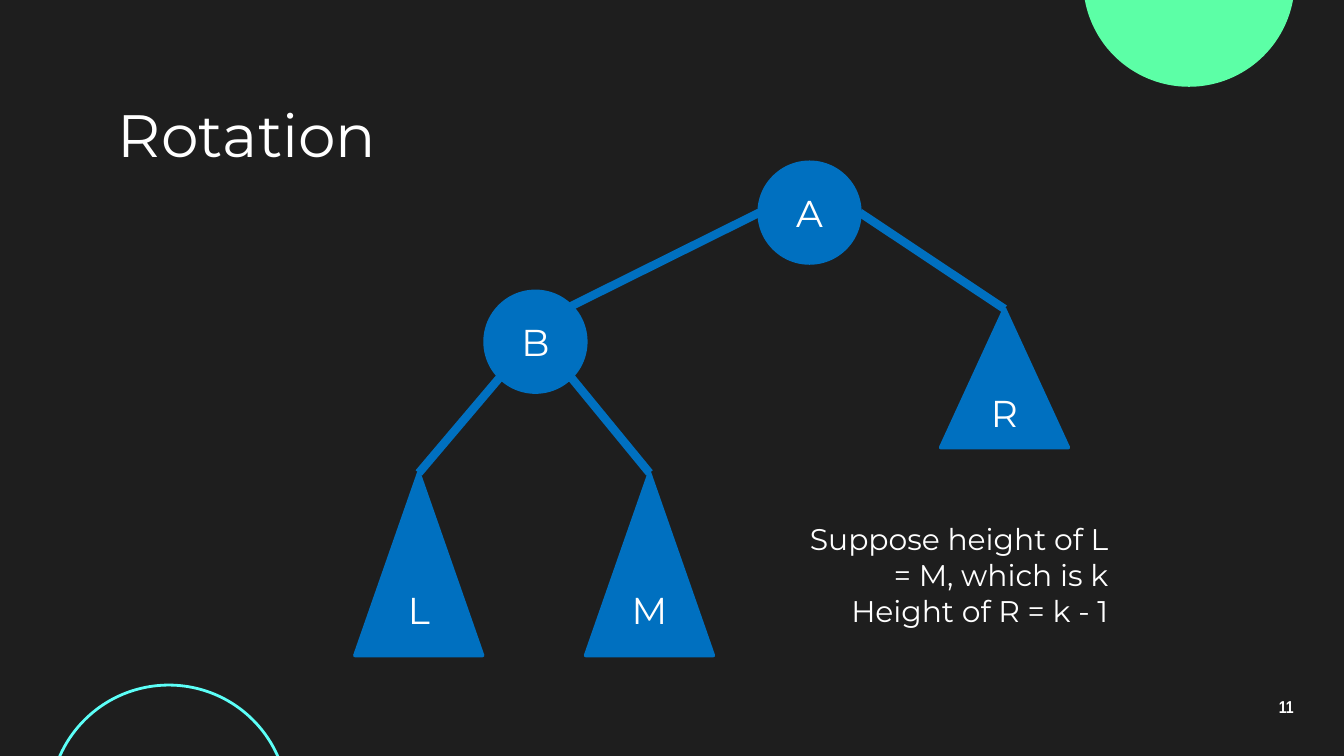
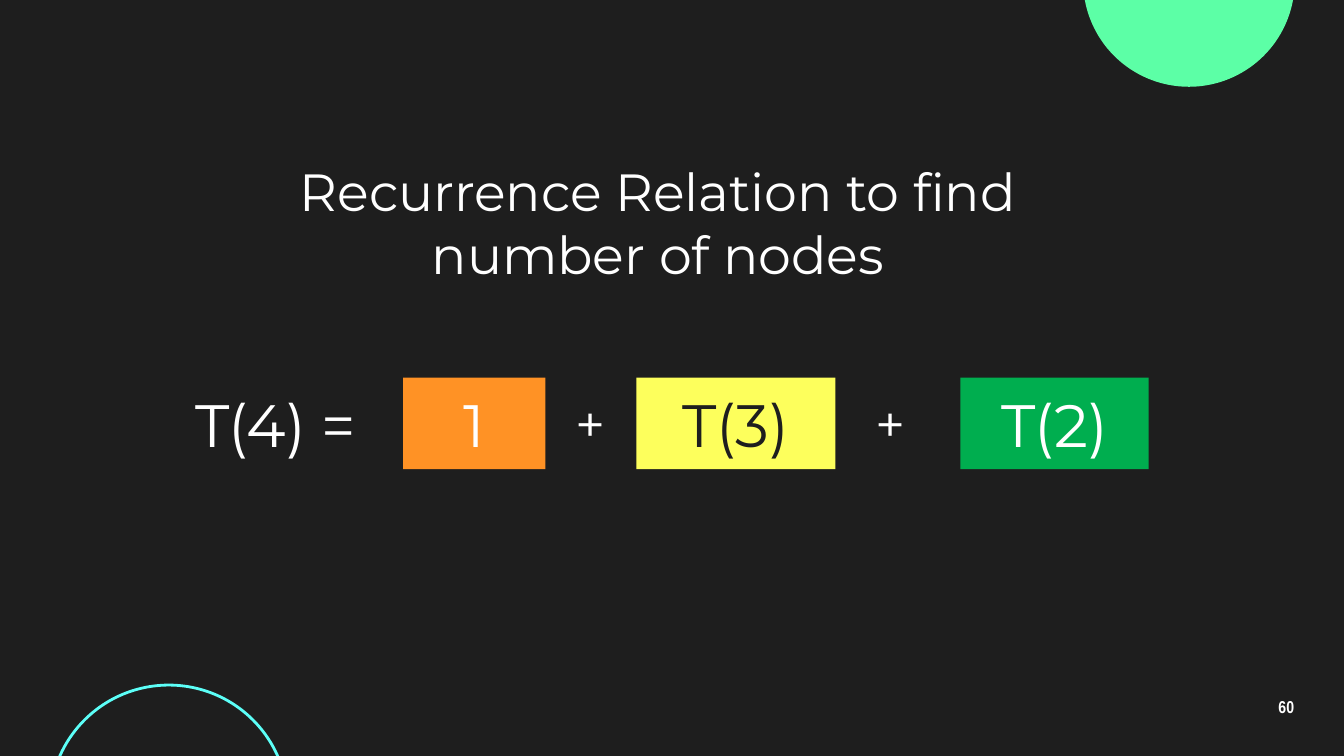
import math

import pptx
import pptx.dml.color
import pptx.enum.shapes
import pptx.enum.text
import pptx.util
from lxml import etree

Cm = pptx.util.Cm
Pt = pptx.util.Pt
SHAPE = pptx.enum.shapes.MSO_SHAPE
ANCHOR = pptx.enum.text.MSO_ANCHOR
ALIGN = pptx.enum.text.PP_ALIGN

DARK = "1E1E1E"
WHITE = "FFFFFF"
GREEN = "5CFFA6"
CYAN = "5CFFF8"
BLUE = "0070C0"
YELLOW = "FDFF5C"
LEAF = "00AE4F"
ORANGE = "FF9225"

BODY_FONT = "Montserrat"
NUMBER_FONT = "Arial Narrow"
INSET = 0.25
NODE_SIZE = 1.9
SUBTREE_WIDTH = 2.41


def color(value):
    return pptx.dml.color.RGBColor.from_string(value)


def write(frame, lines, size, ink=WHITE, align=ALIGN.CENTER, font=BODY_FONT, bold=False):
    """Put each line in its own paragraph, all in one style."""
    frame.word_wrap = True
    for index, line in enumerate(lines):
        para = frame.paragraphs[0] if index == 0 else frame.add_paragraph()
        para.text = line
        para.alignment = align
        para.font.name = font
        para.font.size = Pt(size)
        para.font.bold = bold
        para.font.color.rgb = color(ink)


def add_text(page, place, lines, size, anchor=ANCHOR.TOP, **style):
    box = page.shapes.add_textbox(*map(Cm, place))
    frame = box.text_frame
    frame.margin_left = frame.margin_right = Cm(INSET)
    frame.margin_top = frame.margin_bottom = Cm(INSET)
    frame.vertical_anchor = anchor
    write(frame, lines, size, **style)
    return frame


def add_figure(page, kind, place, fill=None, line=None, width=0):
    shape = page.shapes.add_shape(kind, *map(Cm, place))
    shape.shadow.inherit = False
    if fill:
        shape.fill.solid()
        shape.fill.fore_color.rgb = color(fill)
    else:
        shape.fill.background()
    if line:
        shape.line.color.rgb = color(line)
        shape.line.width = Pt(width)
    else:
        shape.line.fill.background()
    return shape


def add_labelled(page, kind, place, label, size, ink=WHITE, **look):
    shape = add_figure(page, kind, place, **look)
    shape.text_frame.vertical_anchor = ANCHOR.MIDDLE
    write(shape.text_frame, [label], size, ink)


def add_node(page, label, left, top):
    """Draw a round tree node and return its centre."""
    add_labelled(page, SHAPE.OVAL, (left, top, NODE_SIZE, NODE_SIZE), label, 20,
                 fill=BLUE, line=BLUE, width=2)
    return left + NODE_SIZE / 2, top + NODE_SIZE / 2


def add_subtree(page, label, left, top, height):
    """Draw a triangular subtree and return its apex."""
    add_labelled(page, SHAPE.ISOSCELES_TRIANGLE, (left, top, SUBTREE_WIDTH, height),
                 label, 20, fill=BLUE, line=BLUE, width=2)
    return left + SUBTREE_WIDTH / 2, top


def rim(centre, degrees):
    """Point on a node's rim, clockwise from the right-hand side."""
    angle = math.radians(degrees)
    radius = NODE_SIZE / 2
    return centre[0] + radius * math.cos(angle), centre[1] + radius * math.sin(angle)


def add_edge(page, start, end):
    edge = page.shapes.add_connector(
        pptx.enum.shapes.MSO_CONNECTOR.STRAIGHT, *map(Cm, start + end))
    edge.line.color.rgb = color(BLUE)
    edge.line.width = Pt(4.5)
    properties = edge._element.spPr
    etree.SubElement(properties, pptx.oxml.ns.qn("a:effectLst"))


def add_page(deck, number):
    """Add a dark page with the two corner circles and its number."""
    page = deck.slides.add_slide(deck.slide_layouts[6])
    page.background.fill.solid()
    page.background.fill.fore_color.rgb = color(DARK)
    add_figure(page, SHAPE.OVAL, (20.47, -2.36, 4, 4), fill=GREEN)
    add_figure(page, SHAPE.OVAL, (0.94, 12.95, 4.5, 4.5), line=CYAN, width=1.5)
    frame = add_text(page, (23.55, 12.95, 1.52, 0.86), [str(number)], 9.2,
                     anchor=ANCHOR.MIDDLE, font=NUMBER_FONT, bold=True)
    frame.paragraphs[0].line_spacing = 0.9
    return page


def build_rotation(deck):
    page = add_page(deck, 11)
    add_text(page, (1.98, 1.88, 21.44, 1.3), ["Rotation"], 32,
             anchor=ANCHOR.MIDDLE, align=ALIGN.LEFT)
    node_b = add_node(page, "B", 9.17, 5.51)
    node_a = add_node(page, "A", 14.35, 3.07)
    apex_l = add_subtree(page, "L", 6.71, 8.94, 3.45)
    apex_m = add_subtree(page, "M", 11.07, 8.94, 3.45)
    apex_r = add_subtree(page, "R", 17.78, 5.84, 2.62)
    add_edge(page, rim(node_b, -45), rim(node_a, 180))
    add_edge(page, apex_l, rim(node_b, 135))
    add_edge(page, apex_m, rim(node_b, 45))
    add_edge(page, apex_r, rim(node_a, 0))
    add_text(page, (14.88, 9.6, 6.32, 1.3),
             ["Suppose height of L = M, which is k", "Height of R = k - 1"], 16,
             align=ALIGN.RIGHT)


def build_recurrence(deck):
    page = add_page(deck, 60)
    row_top = 7.14
    terms = [
        ("1", 7.62, 2.69, ORANGE, WHITE),
        ("T(3)", 12.03, 3.76, YELLOW, DARK),
        ("T(2)", 18.15, 3.56, LEAF, WHITE),
    ]
    for label, left, width, fill, ink in terms:
        add_labelled(page, SHAPE.RECTANGLE, (left, row_top, width, 1.73), label, 32,
                     ink, fill=fill)
    add_text(page, (3.18, 7.09, 4.06, 1.9), ["T(4) ="], 32)
    for left in (10.41, 16.08):
        add_text(page, (left, row_top, 1.5, 1.9), ["+"], 28)
    add_text(page, (5.23, 2.77, 14.4, 1.9),
             ["Recurrence Relation to find number of nodes"], 28)


def main():
    deck = pptx.Presentation()
    deck.slide_width = Cm(25.4)
    deck.slide_height = Cm(14.29)
    build_rotation(deck)
    build_recurrence(deck)
    deck.save("out.pptx")


if __name__ == "__main__":
    main()
